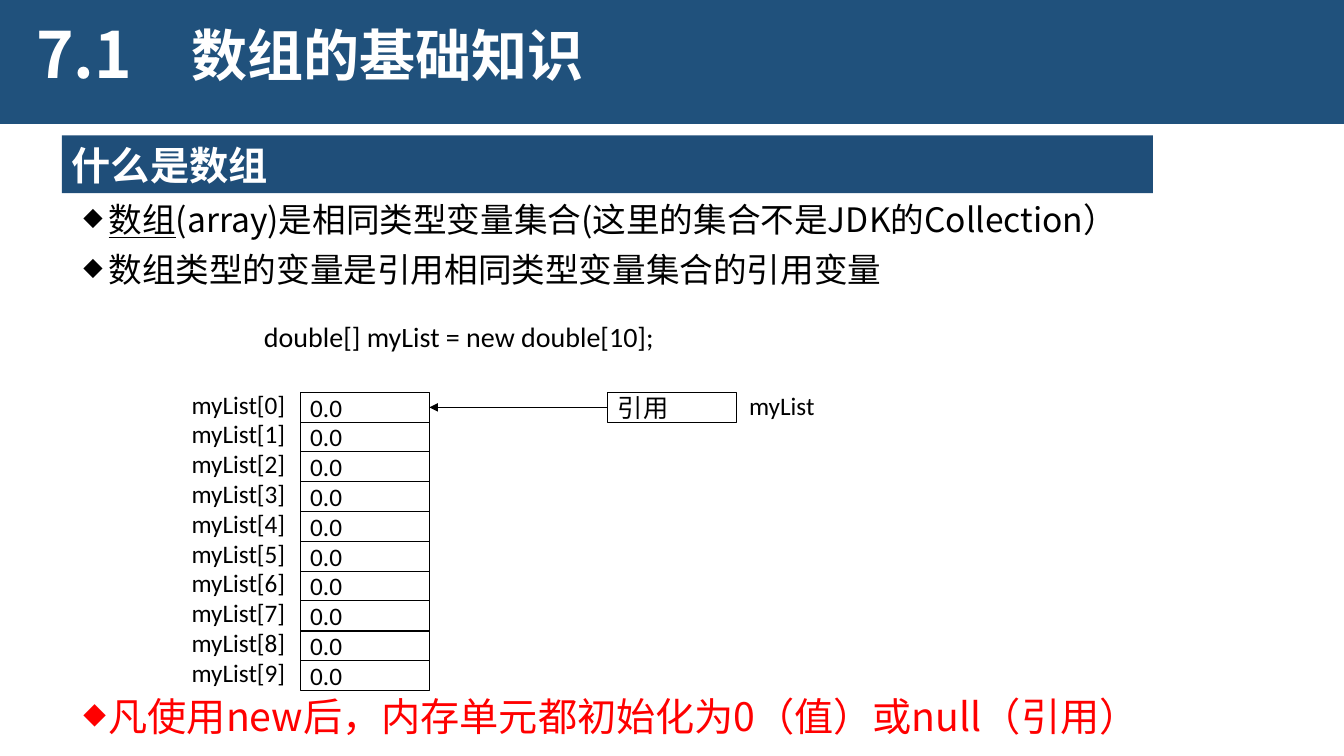
from lxml import etree
from pptx import Presentation
from pptx import util as u
from pptx.dml.color import RGBColor
from pptx.enum import shapes, text
from pptx.oxml import ns

PX = 9525  # EMU per px, slide of 1280 x 720 px
BANNER_BLUE = RGBColor(0x20, 0x51, 0x7C)
HEADING_BLUE = RGBColor(0x1F, 0x4E, 0x79)
WHITE = RGBColor(0xFF, 0xFF, 0xFF)
BLACK = RGBColor(0, 0, 0)
RED = RGBColor(0xFF, 0, 0)
CJK = "Noto Sans CJK SC"
LATIN = "Calibri"

LENGTH = 10
ARRAY_TOP, ARRAY_HEIGHT = 374, 284
CELL_LEFT, CELL_WIDTH = 286, 123


def px(*lengths):
    return [u.Emu(length * PX) for length in lengths]


def add_child(parent, tag, **attributes):
    return etree.SubElement(parent, ns.qn(tag), attributes)


def set_font(paragraph, size, color, name=LATIN, bold=False):
    font = paragraph.font
    font.size, font.bold, font.name = u.Pt(size), bold, name
    font.color.rgb = color
    add_child(font._element, "a:ea", typeface=CJK)


def add_label(slide, box, words, size, color=BLACK, name=LATIN, bold=False, spacing=1.0):
    frame = slide.shapes.add_textbox(*px(*box)).text_frame
    frame.word_wrap = True
    paragraph = frame.paragraphs[0]
    paragraph.text = words
    paragraph.line_spacing = spacing
    set_font(paragraph, size, color, name, bold)


def add_box(slide, box, fill=None, line=None):
    rectangle = slide.shapes.add_shape(shapes.MSO_SHAPE.RECTANGLE, *px(*box))
    rectangle.shadow.inherit = False
    if fill is None:
        rectangle.fill.background()
    else:
        rectangle.fill.solid()
        rectangle.fill.fore_color.rgb = fill
    if line is None:
        rectangle.line.fill.background()
    else:
        rectangle.line.color.rgb = line
        rectangle.line.width = u.Pt(0.75)
    return rectangle


def write_in_box(rectangle, words, size, color=BLACK, name=LATIN, bold=False):
    frame = rectangle.text_frame
    frame.vertical_anchor = text.MSO_ANCHOR.MIDDLE
    paragraph = frame.paragraphs[0]
    paragraph.text = words
    paragraph.alignment = text.PP_ALIGN.LEFT
    set_font(paragraph, size, color, name, bold)


def add_memory_cell(slide, box, words):
    cell = add_box(slide, box, line=BLACK)
    write_in_box(cell, words, 18)
    return cell


def format_bullet(paragraph, size, color, space_before):
    paragraph.line_spacing = 0.9
    paragraph.space_before = u.Pt(space_before)
    properties = paragraph._p.get_or_add_pPr()
    indent = 24 * PX
    properties.set("marL", str(indent))
    properties.set("indent", str(-indent))
    add_child(properties, "a:buSzPct", val="75000")
    add_child(properties, "a:buChar", char="◆")
    set_font(paragraph, size, color, CJK)


def add_arrow(slide, source, target):
    arrow = slide.shapes.add_connector(shapes.MSO_CONNECTOR.STRAIGHT, 0, 0, 0, 0)
    arrow.begin_connect(source, 1)
    arrow.end_connect(target, 3)
    arrow.line.color.rgb = BLACK
    arrow.line.width = u.Pt(0.75)
    add_child(arrow.line._get_or_add_ln(), "a:tailEnd", type="triangle")
    add_child(arrow._element.spPr, "a:effectLst")


def add_explanation(slide):
    frame = slide.shapes.add_textbox(*px(70, 189, 1103, 492)).text_frame
    frame.word_wrap = True
    definition = frame.paragraphs[0]
    term = definition.add_run()
    term.text = "数组"
    term.font.underline = True
    definition.add_run().text = "(array)是相同类型变量集合(这里的集合不是JDK的Collection）"
    reference = frame.add_paragraph()
    reference.text = "数组类型的变量是引用相同类型变量集合的引用变量"
    # The last point stands below the array diagram
    initial = frame.add_paragraph()
    initial.text = "凡使用new后，内存单元都初始化为0（值）或null（引用）"
    format_bullet(definition, 24, BLACK, 10)
    format_bullet(reference, 24, BLACK, 10)
    format_bullet(initial, 28, RED, 291)


def add_array(slide):
    offsets = [ARRAY_HEIGHT * i // LENGTH for i in range(LENGTH + 1)]
    cells = []
    for i, (offset, following) in enumerate(zip(offsets, offsets[1:])):
        top = ARRAY_TOP + offset
        cells.append(add_memory_cell(
            slide, (CELL_LEFT, top, CELL_WIDTH, following - offset), "0.0"))
        add_label(slide, (173, top - 8, 115, 36), f"myList[{i}]", 18)
    return cells


def main():
    deck = Presentation()
    deck.slide_width, deck.slide_height = px(1280, 720)
    slide = deck.slides.add_slide(deck.slide_layouts[6])

    # Title banner
    add_box(slide, (0, 0, 1280, 118), fill=BANNER_BLUE)
    add_label(slide, (25, 18, 132, 87), "7.1", 45.6, WHITE, CJK, True, 0.9)
    add_label(slide, (173, 22, 777, 52), "数组的基础知识", 40, WHITE, CJK, True, 0.9)

    # Section heading and explanation
    heading = add_box(slide, (59, 129, 1039, 55), fill=HEADING_BLUE)
    write_in_box(heading, "什么是数组", 28, WHITE, CJK, True)
    add_explanation(slide)

    # Declaration and the array in memory
    add_label(slide, (242, 300, 459, 41), "double[] myList = new double[10];", 20)
    cells = add_array(slide)

    # Variable that refers to the array
    reference = add_memory_cell(slide, (579, ARRAY_TOP, CELL_WIDTH, 28), "引用")
    add_arrow(slide, reference, cells[0])
    add_label(slide, (704, 367, 100, 36), "myList", 18)

    deck.save("out.pptx")


if __name__ == "__main__":
    main()
